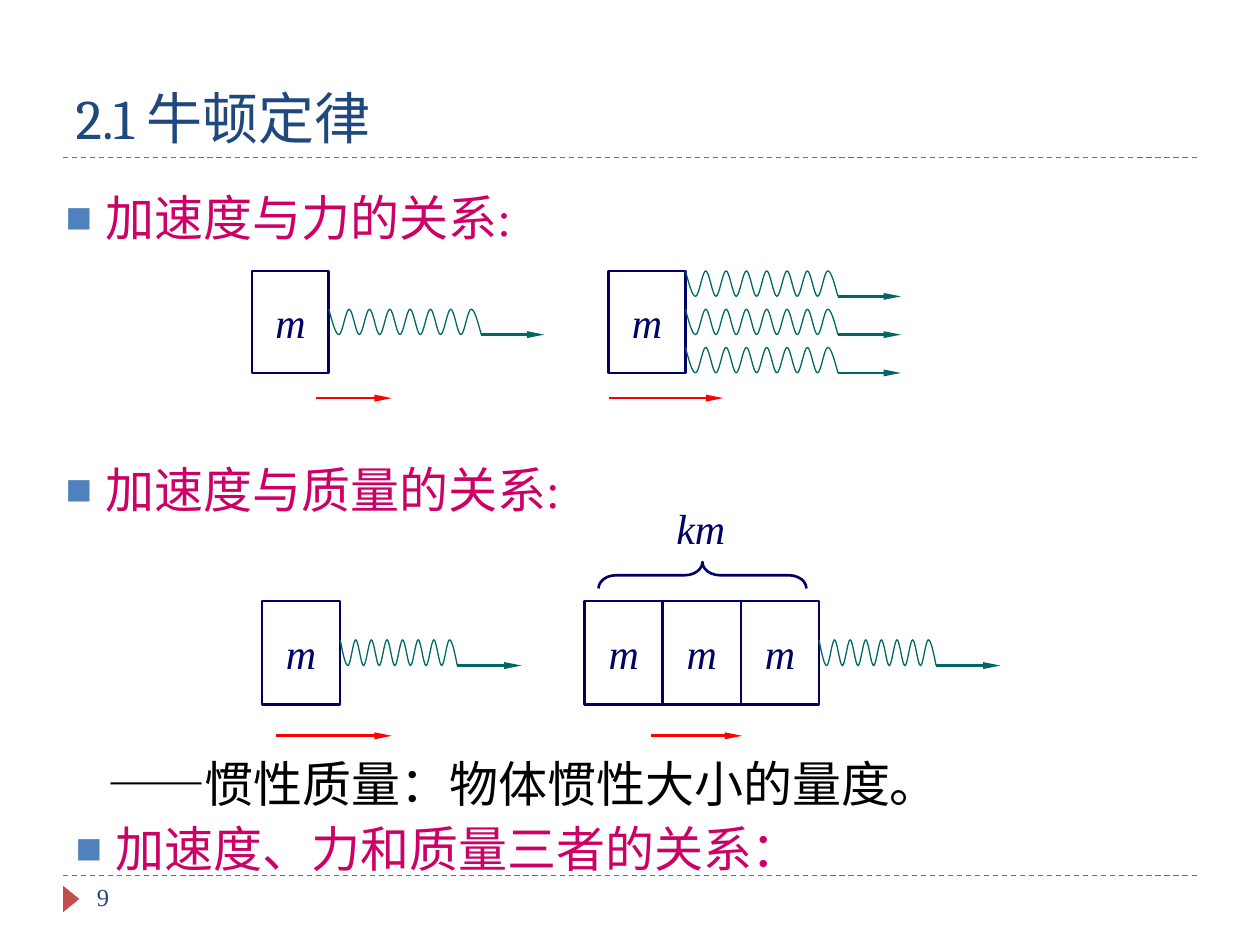
import pptx
import pptx.dml.color
import pptx.enum.dml
import pptx.enum.shapes
import pptx.enum.text
import pptx.oxml
import pptx.oxml.ns
import pptx.util
from lxml import etree

Inches, Pt = pptx.util.Inches, pptx.util.Pt
SHAPES = pptx.enum.shapes.MSO_SHAPE
ANCHOR = pptx.enum.text.MSO_ANCHOR
ALIGN = pptx.enum.text.PP_ALIGN
FIT = pptx.enum.text.MSO_AUTO_SIZE

COLORS = {
    "title": "1F497D", "rule": "C0504D", "bullet": "4F81BD", "heading": "CC0066",
    "block": "000066", "spring": "006666", "acceleration": "FF0000", "body": "000000",
}
SERIF = "Times New Roman"
FORMATS = {
    "title": {"size": Pt(32), "name": "Cambria"},
    "heading": {"size": Pt(28), "name": SERIF, "bold": False},
    "body": {"size": Pt(28), "name": SERIF, "bold": False},
    "block": {"size": Pt(24), "name": SERIF, "italic": True},
    "number": {"size": Pt(14), "name": SERIF},
}

TITLE = "2.1 牛顿定律"
# text, format, place (left, top, width, height)
LINES = [
    ("加速度与力的关系:", "heading", (0.42, 1.32, 4.02, 0.68)),
    ("加速度与质量的关系:", "heading", (0.42, 3.48, 5.8, 0.68)),
    ("——惯性质量：物体惯性大小的量度。", "body", (0.67, 5.93, 8.24, 0.57)),
    ("加速度、力和质量三者的关系：", "heading", (0.5, 6.33, 7.87, 0.68)),
]
# Springs start at these shares of the block height
ONE_SPRING, THREE_SPRINGS = (0.375,), (0, 0.375, 0.75)
SMALL_ROW = {"top": 2.15, "size": (0.61, 0.81), "spring": 1.21, "pull": 0.5, "arrow_y": 3.16}
LARGE_ROW = {"top": 4.77, "size": (0.62, 0.82), "spring": 0.93, "pull": 0.51, "arrow_y": 5.84}
# row, left, number of blocks, springs, acceleration arrow from and to
EXPERIMENTS = [
    (SMALL_ROW, 2.0, 1, ONE_SPRING, (2.51, 3.11)),
    (SMALL_ROW, 4.83, 1, THREE_SPRINGS, (4.83, 5.74)),
    (LARGE_ROW, 2.08, 1, ONE_SPRING, (2.19, 3.11)),
    (LARGE_ROW, 4.64, 3, ONE_SPRING, (5.17, 5.89)),
]
HALF_WAVES = 15


def rgb(name):
    return pptx.dml.color.RGBColor.from_string(COLORS[name])


def inches(lengths):
    return [Inches(length) for length in lengths]


def write(box, text, style, color, anchor=ANCHOR.TOP, align=ALIGN.LEFT, wrap=True):
    frame = box.text_frame
    frame.word_wrap, frame.vertical_anchor = wrap, anchor
    para = frame.paragraphs[0]
    para.alignment = align
    para.space_before = Pt(0)
    span = para.add_run()
    span.text = text
    for name, value in FORMATS[style].items():
        setattr(span.font, name, value)
    span.font.color.rgb = rgb(color)
    return para


def set_bullet(para, indent, square):
    props = para._p.get_or_add_pPr()
    props.set("marL", str(Inches(indent)))
    props.set("indent", str(-Inches(indent) if square else 0))
    if not square:
        etree.SubElement(props, pptx.oxml.ns.qn("a:buNone"))
        return
    color = etree.SubElement(props, pptx.oxml.ns.qn("a:buClr"))
    etree.SubElement(color, pptx.oxml.ns.qn("a:srgbClr"), val=COLORS["bullet"])
    etree.SubElement(props, pptx.oxml.ns.qn("a:buSzPct"), val="90000")
    etree.SubElement(props, pptx.oxml.ns.qn("a:buFont"), typeface="Arial")
    etree.SubElement(props, pptx.oxml.ns.qn("a:buChar"), char="■")


def outline(shape, color, width=1.5):
    shape.fill.background()
    shape.line.color.rgb = rgb(color)
    shape.line.width = Pt(width)
    shape.shadow.inherit = False


def add_line(page, left, right, y, color, width=1.5, arrow=True):
    """Draw a level line, either dashed or with a slim arrowhead."""
    line = page.shapes.add_connector(
        pptx.enum.shapes.MSO_CONNECTOR.STRAIGHT, *inches((left, y, right, y)))
    line.line.color.rgb = rgb(color)
    line.line.width = Pt(width)
    if arrow:
        etree.SubElement(line.line._get_or_add_ln(), pptx.oxml.ns.qn("a:tailEnd"),
                         type="triangle", w="sm", len="lg")
    else:
        line.line.dash_style = pptx.enum.dml.MSO_LINE.DASH
    etree.SubElement(line._element.spPr, pptx.oxml.ns.qn("a:effectLst"))


def curve_controls():
    """Give two controls and an end per half wave, as (half waves, depth share)."""
    for index in range(HALF_WAVES):
        start, end = index % 2, (index + 1) % 2
        first = 0.5 if index == 0 else start
        second = 0.5 if index == HALF_WAVES - 1 else end
        yield from ((index + 1 / 3, first), (index + 2 / 3, second), (index + 1, end))


def add_spring(page, left, top, length, depth):
    points = [inches((left + length * at / HALF_WAVES, top + depth * share))
              for at, share in curve_controls()]
    builder = page.shapes.build_freeform(*inches((left, top)))
    builder.add_line_segments(points, close=False)
    spring = builder.convert_to_shape()
    outline(spring, "spring", 0.75)
    segments = list(spring._element.iter(pptx.oxml.ns.qn("a:lnTo")))
    for first in range(0, len(segments), 3):
        curve = etree.Element(pptx.oxml.ns.qn("a:cubicBezTo"))
        segments[first].addprevious(curve)
        for segment in segments[first:first + 3]:
            curve.append(segment[0])
            segment.getparent().remove(segment)


def add_experiment(page, row, left, blocks, springs, arrow):
    width, height = row["size"]
    for index in range(blocks):
        block = page.shapes.add_shape(
            SHAPES.RECTANGLE, *inches((left + index * width, row["top"], width, height)))
        outline(block, "block")
        write(block, "m", "block", "block", ANCHOR.MIDDLE, ALIGN.CENTER, wrap=False)
    right = left + blocks * width
    end = right + row["spring"]
    for share in springs:
        top = row["top"] + share * height
        add_spring(page, right, top, row["spring"], height / 4)
        add_line(page, end, end + row["pull"], top + height / 4, "spring")
    add_line(page, *arrow, row["arrow_y"], "acceleration")


def place(box, area):
    box.left, box.top, box.width, box.height = inches(area)


def main():
    deck = pptx.Presentation()
    deck.slide_width, deck.slide_height = inches((10, 7.5))
    page = deck.slides.add_slide(deck.slide_layouts.get_by_name("Comparison"))

    for y in (1.25, 6.95):
        add_line(page, 0.5, 9.5, y, "rule", 0.75, arrow=False)
    marker = page.shapes.add_shape(
        SHAPES.ISOSCELES_TRIANGLE, *inches((0.46, 7.07, 0.21, 0.13)))
    marker.rotation = 90
    marker.fill.solid()
    marker.fill.fore_color.rgb = rgb("rule")
    marker.line.fill.background()
    marker.shadow.inherit = False
    number = page.shapes.add_textbox(*inches((0.67, 6.95, 2.17, 0.4)))
    write(number, "9", "number", "title")

    place(page.shapes.title, (0.5, 0.25, 9, 1))
    write(page.shapes.title, TITLE, "title", "title", ANCHOR.BOTTOM)
    bodies = [box for box in page.placeholders if box.placeholder_format.idx > 0]
    for box, (text, style, area) in zip(bodies, LINES):
        place(box, area)
        para = write(box, text, style, style)
        heading = style == "heading"
        para.line_spacing = 1.25 if heading else 1.0
        set_bullet(para, 0.32 if heading else 0.08, heading)
        box.text_frame.auto_size = FIT.SHAPE_TO_FIT_TEXT

    for experiment in EXPERIMENTS:
        add_experiment(page, *experiment)

    brace = page.shapes.add_shape(SHAPES.RIGHT_BRACE, *inches((5.47, 3.74, 0.21, 1.65)))
    brace.rotation = 270
    brace.adjustments[0] = 0.664
    outline(brace, "block")
    label = page.shapes.add_textbox(*inches((5.27, 3.94, 1.03, 0.5)))
    write(label, "km", "block", "block")

    deck.save("out.pptx")


if __name__ == "__main__":
    main()
